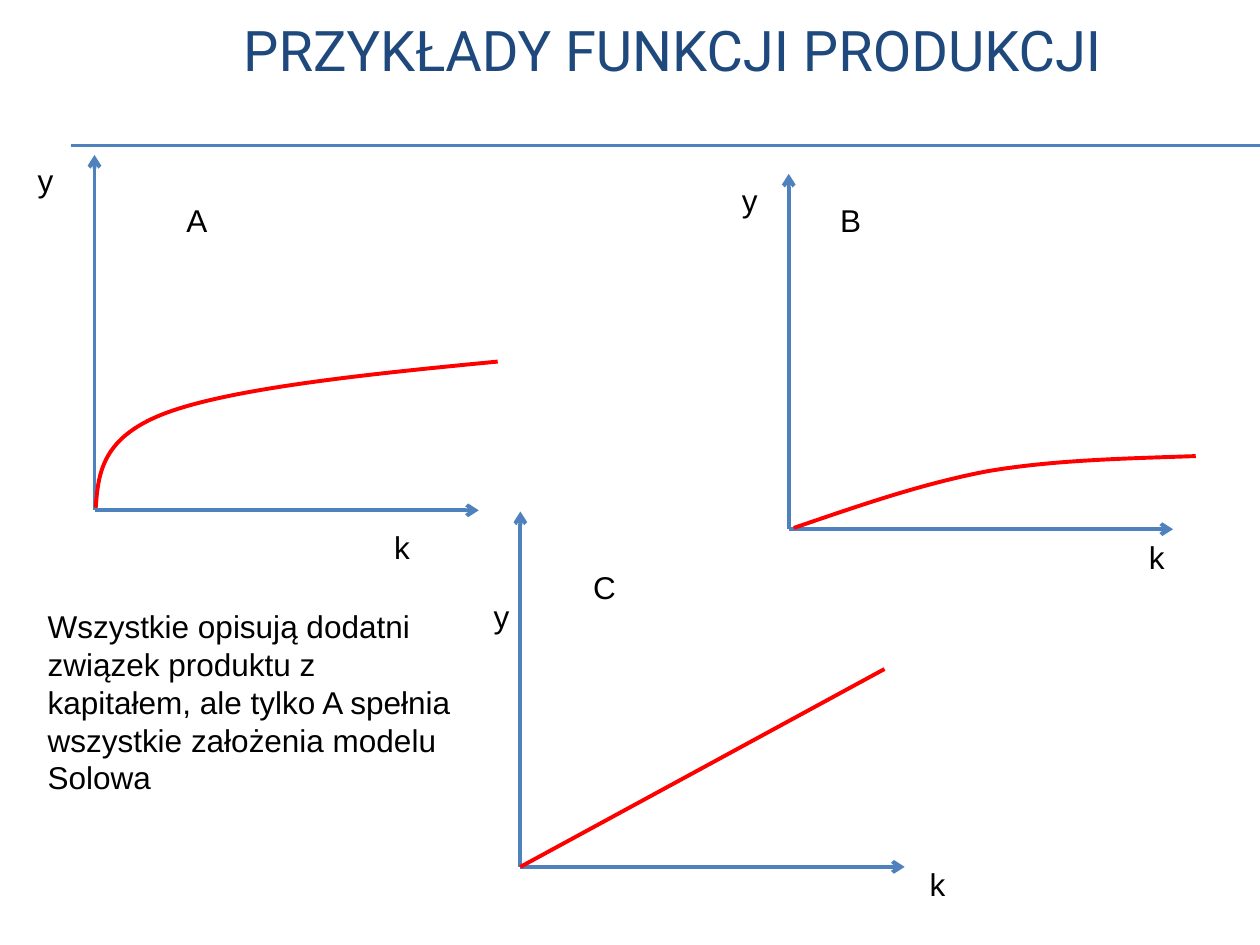
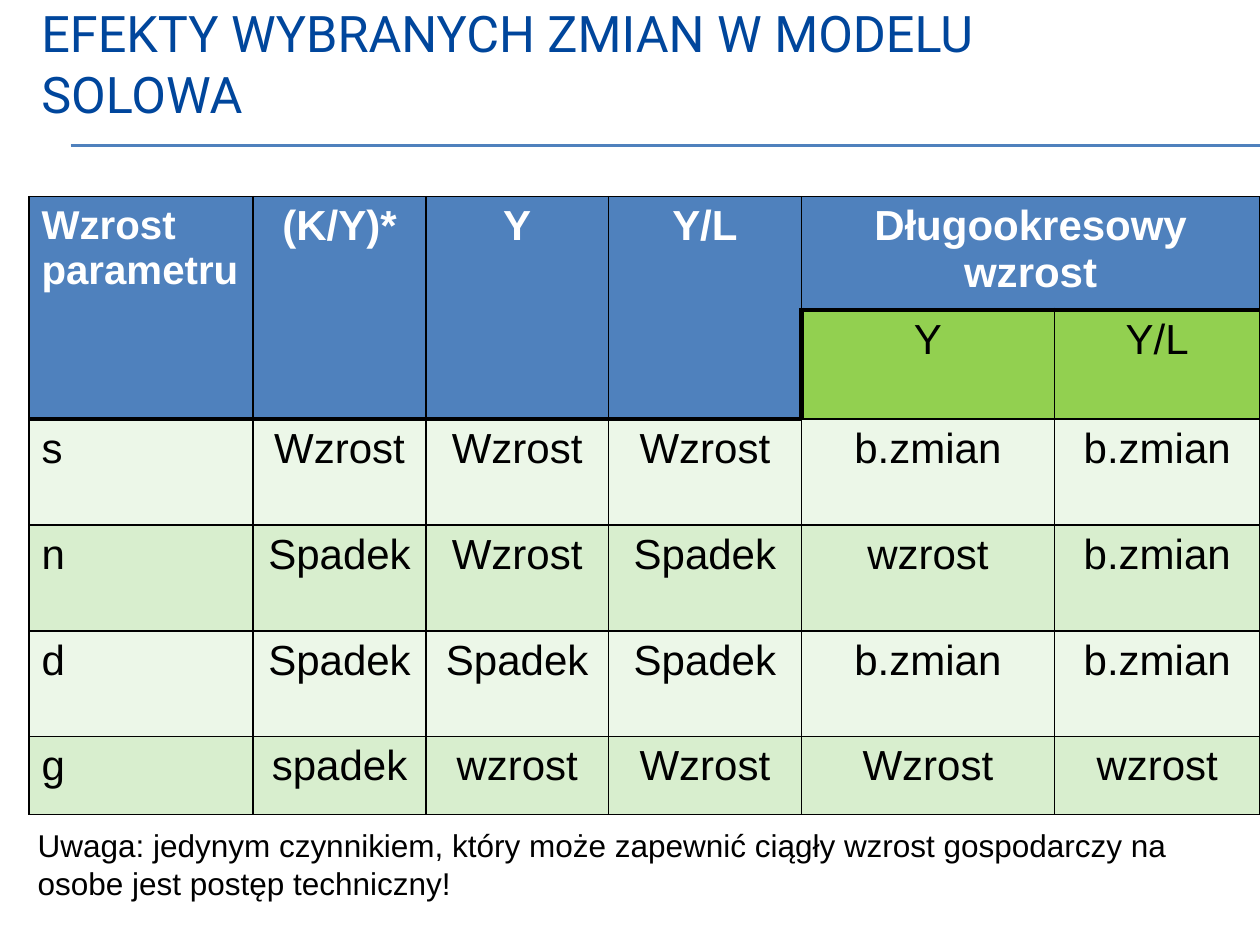
from dataclasses import dataclass

from pptx import Presentation
from pptx.dml.color import RGBColor as RGB
from pptx.enum.shapes import MSO_CONNECTOR as Conn
from pptx.enum.text import MSO_ANCHOR as Anchor, PP_ALIGN as Align
from pptx.oxml.ns import qn
from pptx.util import Inches, Pt
from lxml.etree import SubElement as Sub


@dataclass(frozen=True)
class Theme:
    blue: str = "4F81BD"
    navy: str = "1F497D"
    royal: str = "00469C"
    red: str = "FF0000"
    black: str = "000000"
    white: str = "FFFFFF"
    green: str = "92D050"
    pale: str = "ECF7E8"
    mint: str = "D8EECE"
    head: str = "Roboto"
    body: str = "Arial"
    big: float = 32
    title: float = 28.8
    cell: float = 24
    param: float = 23
    text: float = 18
    rule: float = 0.75
    axis: float = 2.25
    thin: float = 1
    thick: float = 3


T = Theme()

# Origin, curve points, then the places of the name, y and k labels
PLOTS = {
    "A": ((0.75, 4.05),
          [(0.76, 4.03), (0.78, 3.75), (0.81, 3.46), (1.34, 3.27),
           (1.87, 3.08), (2.91, 2.97), (3.95, 2.87)],
          [(1.38, 1.55, 0.71), (0.2, 1.23, 0.47), (3.03, 4.14, 0.63)]),
    "B": ((6.26, 4.2),
          [(6.3, 4.19), (6.8, 4.02), (7.31, 3.84), (7.84, 3.74),
           (8.37, 3.65), (8.93, 3.64), (9.49, 3.62)],
          [(6.57, 1.55, 0.71), (5.79, 1.39, 0.47), (9.02, 4.22, 0.39)]),
    "C": ((4.13, 6.88),
          [(4.13, 6.88), (7.02, 5.31)],
          [(4.61, 4.46, 0.55), (3.82, 4.69, 0.24), (7.28, 6.82, 0.32)]),
}
AXIS_W, AXIS_H = 3.05, 2.82

COLS = [1.78, 1.37, 1.45, 1.53, 2.01, 1.63]
ROWS = [0.84, 0.82, 0.84, 0.84, 0.84, 0.62]
CELLS = [
    ["Wzrost\nparametru", "(K/Y)*", "Y", "Y/L", "Długookresowy wzrost", ""],
    ["", "", "", "", "Y", "Y/L"],
    ["s", "Wzrost", "Wzrost", "Wzrost", "b.zmian", "b.zmian"],
    ["n", "Spadek", "Wzrost", "Spadek", "wzrost", "b.zmian"],
    ["d", "Spadek", "Spadek", "Spadek", "b.zmian", "b.zmian"],
    ["g", "spadek", "wzrost", "Wzrost", "Wzrost", "wzrost"],
]
SPLIT = 4  # first column with a second header row


def style(font, color, **fmt):
    font.color.rgb = RGB.from_string(color)
    for key, val in fmt.items():
        setattr(font, key, val)


def text(slide, words, box, size=T.text, color=T.black, face=T.body,
         align=Align.LEFT, anchor=Anchor.TOP):
    frame = slide.shapes.add_textbox(*map(Inches, box)).text_frame
    frame.word_wrap = True
    frame.vertical_anchor = anchor
    frame.text = words
    para = frame.paragraphs[0]
    para.alignment = align
    style(para.font, color, size=Pt(size), name=face)


def pen(line, color, width):
    line.color.rgb = RGB.from_string(color)
    line.width = Pt(width)


def link(shapes, start, end, color=T.blue, width=T.axis, arrow=False):
    line = shapes.add_connector(Conn.STRAIGHT, *map(Inches, (*start, *end)))
    pen(line.line, color, width)
    props = line._element.spPr
    if arrow:
        Sub(props.find(qn("a:ln")), qn("a:tailEnd"), type="arrow")
    Sub(props, qn("a:effectLst"))


def curve(shapes, points):
    """Draw a Bezier outline: a start, then three points per segment."""
    spots = [tuple(map(Inches, spot)) for spot in points]
    build = shapes.build_freeform(*spots[0])
    build.add_line_segments(spots[1:], close=False)
    shape = build.convert_to_shape()
    shape.shadow.inherit = False
    shape.fill.background()
    pen(shape.line, T.red, T.axis)
    route = shape._element.find(".//" + qn("a:path"))
    steps = route.findall(qn("a:lnTo"))
    for i in range(0, len(steps), 3):
        bend = Sub(route, qn("a:cubicBezTo"))
        for step in steps[i:i + 3]:
            bend.append(step[0])
            route.remove(step)


def plot(slide, name, origin, points, spots):
    x, y = origin
    shapes = slide.shapes.add_group_shape().shapes
    link(shapes, origin, (x, y - AXIS_H), arrow=True)
    link(shapes, origin, (x + AXIS_W, y), arrow=True)
    if len(points) == 2:
        link(shapes, *points, color=T.red)
    else:
        curve(shapes, points)
    for label, (left, top, width) in zip((name, "y", "k"), spots):
        text(slide, label, (left, top, width, 0.4))


def edges(cell, row, col):
    """Set the cell's borders, thick below the blue header."""
    split = col >= SPLIT
    heavy = {
        "L": (row, col) == (1, SPLIT),
        "R": False,
        "T": row == (1 if split else 2),
        "B": row == 0 or (row == 1 and not split),
    }
    props = cell._tc.get_or_add_tcPr()
    for side, bold in heavy.items():
        width = Pt(T.thick if bold else T.thin)
        line = Sub(props, qn("a:ln" + side), w=str(width))
        Sub(Sub(line, qn("a:solidFill")), qn("a:srgbClr"), val=T.black)


def shade(row, col):
    if row == 0 or (row == 1 and col < SPLIT):
        return T.blue
    if row == 1:
        return T.green
    return T.mint if row % 2 else T.pale


def grid(slide):
    box = map(Inches, (0.23, 1.56, sum(COLS), sum(ROWS)))
    table = slide.shapes.add_table(len(ROWS), len(COLS), *box).table
    for col, width in zip(table.columns, COLS):
        col.width = Inches(width)
    for row, height in zip(table.rows, ROWS):
        row.height = Inches(height)
    for r, words in enumerate(CELLS):
        for c, word in enumerate(words):
            cell = table.cell(r, c)
            edges(cell, r, c)
            cell.fill.solid()
            cell.fill.fore_color.rgb = RGB.from_string(shade(r, c))
            cell.text = word
            size = T.param if r == c == 0 else T.cell
            for para in cell.text_frame.paragraphs:
                para.alignment = Align.CENTER if c else Align.LEFT
                style(para.font, T.black if r else T.white,
                      size=Pt(size), name=T.body, bold=r == 0)
    for c in range(SPLIT):
        table.cell(0, c).merge(table.cell(1, c))
    table.cell(0, SPLIT).merge(table.cell(0, SPLIT + 1))


def page(deck, title, box, **fmt):
    """Add a slide with the double rule and a title."""
    slide = deck.slides.add_slide(deck.slide_layouts[6])
    for y in (1.15, 1.16):
        link(slide.shapes, (0.56, y), (10, y), width=T.rule)
    text(slide, title, box, face=T.head, anchor=Anchor.MIDDLE, **fmt)
    return slide


def main():
    deck = Presentation()
    deck.slide_width, deck.slide_height = Inches(10), Inches(7.5)

    slide = page(deck, "PRZYKŁADY FUNKCJI PRODUKCJI", (1.09, 0, 8.5, 0.78),
                 size=T.big, color=T.navy, align=Align.CENTER)
    for name, parts in PLOTS.items():
        plot(slide, name, *parts)
    text(slide, "Wszystkie opisują dodatni związek produktu z kapitałem, "
         "ale tylko A spełnia wszystkie założenia modelu Solowa",
         (0.28, 4.77, 3.46, 1.62))

    slide = page(deck, "EFEKTY WYBRANYCH ZMIAN W MODELU SOLOWA",
                 (0.23, 0, 9.2, 1), size=T.title, color=T.royal)
    grid(slide)
    text(slide, "Uwaga: jedynym czynnikiem, który może zapewnić ciągły "
         "wzrost gospodarczy na osobe jest postęp techniczny!",
         (0.2, 6.51, 9.29, 0.71))
    deck.save("out.pptx")


if __name__ == "__main__":
    main()
